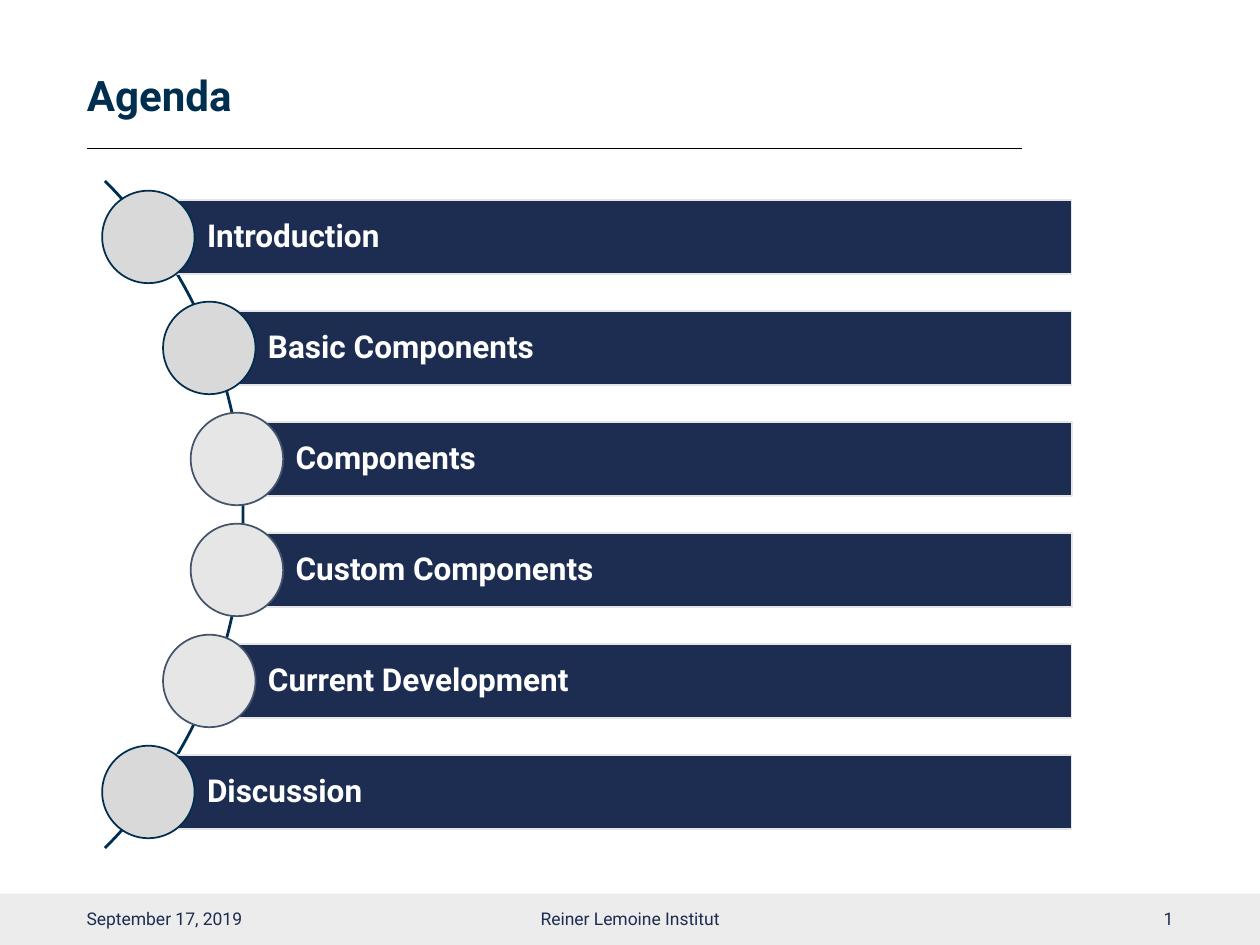
import pptx
import pptx.util
import pptx.dml.color
import pptx.enum.shapes
import pptx.enum.text
import pptx.oxml

Pt = pptx.util.Pt
KIND = pptx.enum.shapes.MSO_SHAPE
ALIGN = pptx.enum.text.PP_ALIGN
NAVY, DEEP, SLATE = "1C2D51", "002E4F", "44546A"
LIGHT, GREY = "E7E6E6", "D9D9D9"
TOPICS = [
    ("Introduction", 0, GREY, DEEP),
    ("Basic Components", 34.8, GREY, DEEP),
    ("Components", 50.6, LIGHT, SLATE),
    ("Custom Components", 50.6, LIGHT, SLATE),
    ("Current Development", 34.8, LIGHT, SLATE),
    ("Discussion", 0, GREY, DEEP),
]


def color(code):
    """Turn a hex string into a colour."""
    return pptx.dml.color.RGBColor.from_string(code)


def shape(slide, kind, box, fill, line=None):
    """Add a flat filled shape with an optional outline."""
    item = slide.shapes.add_shape(kind, *map(Pt, box))
    item.shadow.inherit = False
    item.fill.solid()
    item.fill.fore_color.rgb = color(fill)
    if line:
        item.line.color.rgb = color(line)
        item.line.width = Pt(1)
    else:
        item.line.fill.background()
    return item


def write(item, text, size, ink, bold=False, align=ALIGN.LEFT, pad=(0, 0), lead=1.0):
    """Write one line of text, centred in height."""
    frame = item.text_frame
    frame.word_wrap = True
    frame.vertical_anchor = pptx.enum.text.MSO_ANCHOR.MIDDLE
    frame.margin_left, frame.margin_right = map(Pt, pad)
    frame.margin_top = frame.margin_bottom = Pt(3.6)
    para = frame.paragraphs[0]
    para.alignment = align
    para.line_spacing = lead
    run = para.add_run()
    run.text = text
    run.font.name = "Roboto"
    run.font.size = Pt(size)
    run.font.bold = bold
    run.font.color.rgb = color(ink)


def header(slide, left, top, width, height):
    """Place the title and the rule below it."""
    title = slide.shapes.add_textbox(*map(Pt, (left, top, width, height)))
    write(title, "Agenda", 24, DEEP, True, pad=(0, 7.2), lead=0.9)
    base = top + height + 1.4
    rule = slide.shapes.add_connector(
        pptx.enum.shapes.MSO_CONNECTOR.STRAIGHT,
        Pt(left), Pt(base), Pt(left + 534.3), Pt(base))
    rule.line.color.rgb = color("000000")
    rule.line.width = Pt(0.5)
    props = rule.line._get_or_add_ln().getparent()
    props.append(pptx.oxml.parse_xml(
        '<a:effectLst xmlns:a="http://schemas.openxmlformats.org/drawingml/2006/main"/>'))


def agenda(slide, left, top, width, height):
    """Place the topics as bars with discs strung along an arc."""
    disc, bar, span = 52.85, 42.25, 540.7
    step = (height - disc) / (len(TOPICS) - 1)
    arc = shape(slide, KIND.BLOCK_ARC,
                (left - 459.4, top + (height - span) / 2, span, span), "002E50")
    for index, value in enumerate((189, 27, 0.003)):
        arc.adjustments[index] = value
    for row, (text, indent, fill, line) in enumerate(TOPICS):
        start, mid = left + indent, top + disc / 2 + row * step
        edge = start + disc / 2
        band = shape(slide, KIND.RECTANGLE,
                     (edge, mid - bar / 2, left + width - edge, bar), NAVY, LIGHT)
        write(band, text, 18, "FFFFFF", True, pad=(33.5, 3.6), lead=0.9)
        shape(slide, KIND.OVAL, (start, mid - disc / 2, disc, disc), fill, line)


def footer(slide, left, top, width, height):
    """Place the footer band with date, sender and page number."""
    shape(slide, KIND.RECTANGLE, (left, top, width, height), "ECECEC")
    parts = [
        ("September 17, 2019", 49.5, 162, ALIGN.LEFT),
        ("Reiner Lemoine Institut", 238.5, 243, ALIGN.CENTER),
        ("1", 508.5, 162, ALIGN.RIGHT),
    ]
    for text, shift, wide, align in parts:
        box = slide.shapes.add_textbox(*map(Pt, (left + shift, top, wide, 28.8)))
        write(box, text, 10, NAVY, align=align)


def main():
    """Build the agenda slide."""
    deck = pptx.Presentation()
    deck.slide_width, deck.slide_height = Pt(720), Pt(540)
    slide = deck.slides.add_slide(deck.slide_layouts[6])
    footer(slide, 0, 510.7, 720, 29.3)
    header(slide, 49.7, 28.8, 622, 54.7)
    agenda(slide, 58.4, 109, 554, 370)
    deck.save("out.pptx")


if __name__ == "__main__":
    main()
